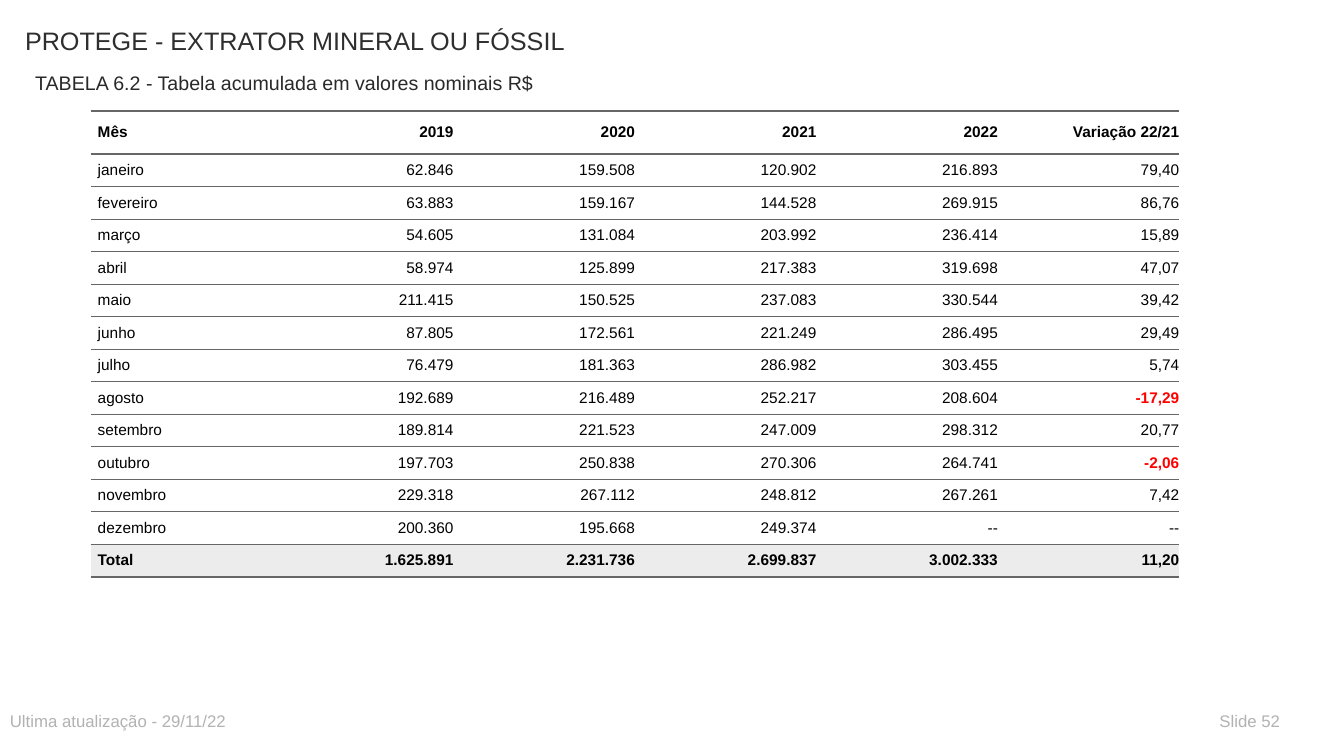
from lxml import etree
from pptx import Presentation
from pptx import util as u
from pptx.dml.color import RGBColor
from pptx.enum import text
from pptx.oxml import ns

TITLE = RGBColor(0x2D, 0x2E, 0x2D)
SUBTITLE = RGBColor(0x29, 0x29, 0x29)
FOOTER = RGBColor(0xB2, 0xB2, 0xB2)
BLACK = RGBColor(0, 0, 0)
RED = RGBColor(0xFF, 0, 0)
WHITE = RGBColor(0xFF, 0xFF, 0xFF)
TOTAL_FILL = RGBColor(0xEC, 0xEC, 0xEC)
RULE = RGBColor(0x66, 0x66, 0x66)

NO_STYLE = "{2D5ABB26-0587-4C30-8999-92F81FD0307C}"
THIN, THICK = 0.5, 2

REVENUE = [
    ("Mês", "2019", "2020", "2021", "2022", "Variação 22/21"),
    ("janeiro", "62.846", "159.508", "120.902", "216.893", "79,40"),
    ("fevereiro", "63.883", "159.167", "144.528", "269.915", "86,76"),
    ("março", "54.605", "131.084", "203.992", "236.414", "15,89"),
    ("abril", "58.974", "125.899", "217.383", "319.698", "47,07"),
    ("maio", "211.415", "150.525", "237.083", "330.544", "39,42"),
    ("junho", "87.805", "172.561", "221.249", "286.495", "29,49"),
    ("julho", "76.479", "181.363", "286.982", "303.455", "5,74"),
    ("agosto", "192.689", "216.489", "252.217", "208.604", "-17,29"),
    ("setembro", "189.814", "221.523", "247.009", "298.312", "20,77"),
    ("outubro", "197.703", "250.838", "270.306", "264.741", "-2,06"),
    ("novembro", "229.318", "267.112", "248.812", "267.261", "7,42"),
    ("dezembro", "200.360", "195.668", "249.374", "--", "--"),
    ("Total", "1.625.891", "2.231.736", "2.699.837", "3.002.333", "11,20"),
]


class ReportSlide:
    font = "Arial"
    table_size = 11
    column_width = 129.6
    header_height = 31
    row_height = 22.3
    cell_padding = 5

    def __init__(self, deck):
        self.slide = deck.slides.add_slide(deck.slide_layouts[6])

    def run(self, paragraph, words, size, color, bold=False):
        run = paragraph.add_run()
        run.text = words
        run.font.name = self.font
        run.font.size = u.Pt(size)
        run.font.bold = bold
        run.font.color.rgb = color

    def label(self, words, left, top, width, height, size, color):
        box = self.slide.shapes.add_textbox(
            u.Pt(left), u.Pt(top), u.Pt(width), u.Pt(height))
        box.text_frame.word_wrap = True
        self.run(box.text_frame.paragraphs[0], words, size, color)

    def border(self, cell, side, width):
        """Draw one cell edge; side is a tag such as a:lnT."""
        line = etree.SubElement(cell._tc.get_or_add_tcPr(), ns.qn(side),
                                w=str(u.Pt(width)))
        fill = etree.SubElement(line, ns.qn("a:solidFill"))
        etree.SubElement(fill, ns.qn("a:srgbClr"), val=str(RULE))

    def cell(self, cell, words, first_column, bold, fill, above, below):
        cell.margin_left = cell.margin_top = u.Pt(self.cell_padding)
        cell.margin_bottom = u.Pt(self.cell_padding)
        cell.margin_right = 0
        cell.vertical_anchor = text.MSO_ANCHOR.MIDDLE
        self.border(cell, "a:lnT", above)
        self.border(cell, "a:lnB", below)
        cell.fill.solid()
        cell.fill.fore_color.rgb = fill
        paragraph = cell.text_frame.paragraphs[0]
        paragraph.alignment = (text.PP_ALIGN.LEFT if first_column
                               else text.PP_ALIGN.RIGHT)
        falling = words.startswith("-") and words != "--"
        self.run(paragraph, words, self.table_size,
                 RED if falling else BLACK, bold or falling)

    def table(self, rows, left, top):
        """Add a table with a heading row first and a total row last."""
        columns, last = len(rows[0]), len(rows) - 1
        table = self.slide.shapes.add_table(
            len(rows), columns, u.Pt(left), u.Pt(top),
            u.Pt(columns * self.column_width),
            u.Pt(self.header_height + last * self.row_height)).table
        table.first_row = table.horz_banding = False
        table._tbl.tblPr.find(ns.qn("a:tableStyleId")).text = NO_STYLE
        for column in table.columns:
            column.width = u.Pt(self.column_width)
        for r, values in enumerate(rows):
            table.rows[r].height = u.Pt(
                self.row_height if r else self.header_height)
            above = THICK if r <= 1 else THIN
            below = THICK if r in (0, last) else THIN
            fill = TOTAL_FILL if r == last else WHITE
            for c, words in enumerate(values):
                self.cell(table.cell(r, c), words, c == 0,
                          r in (0, last), fill, above, below)


def main():
    deck = Presentation()
    deck.slide_width, deck.slide_height = u.Pt(960), u.Pt(540)
    report = ReportSlide(deck)
    report.label("PROTEGE - EXTRATOR MINERAL OU FÓSSIL",
                 10.8, 14.4, 576, 42.5, 18, TITLE)
    report.label("TABELA 6.2 - Tabela acumulada em valores nominais R$",
                 18, 46.8, 468, 21.6, 14, SUBTITLE)
    report.table(REVENUE, 64.8, 79.2)
    report.label("Ultima atualização - 29/11/22",
                 0, 504, 468, 21.6, 12, FOOTER)
    report.label("Slide 52", 864, 504, 64.8, 21.6, 12, FOOTER)
    deck.save("out.pptx")


if __name__ == "__main__":
    main()
